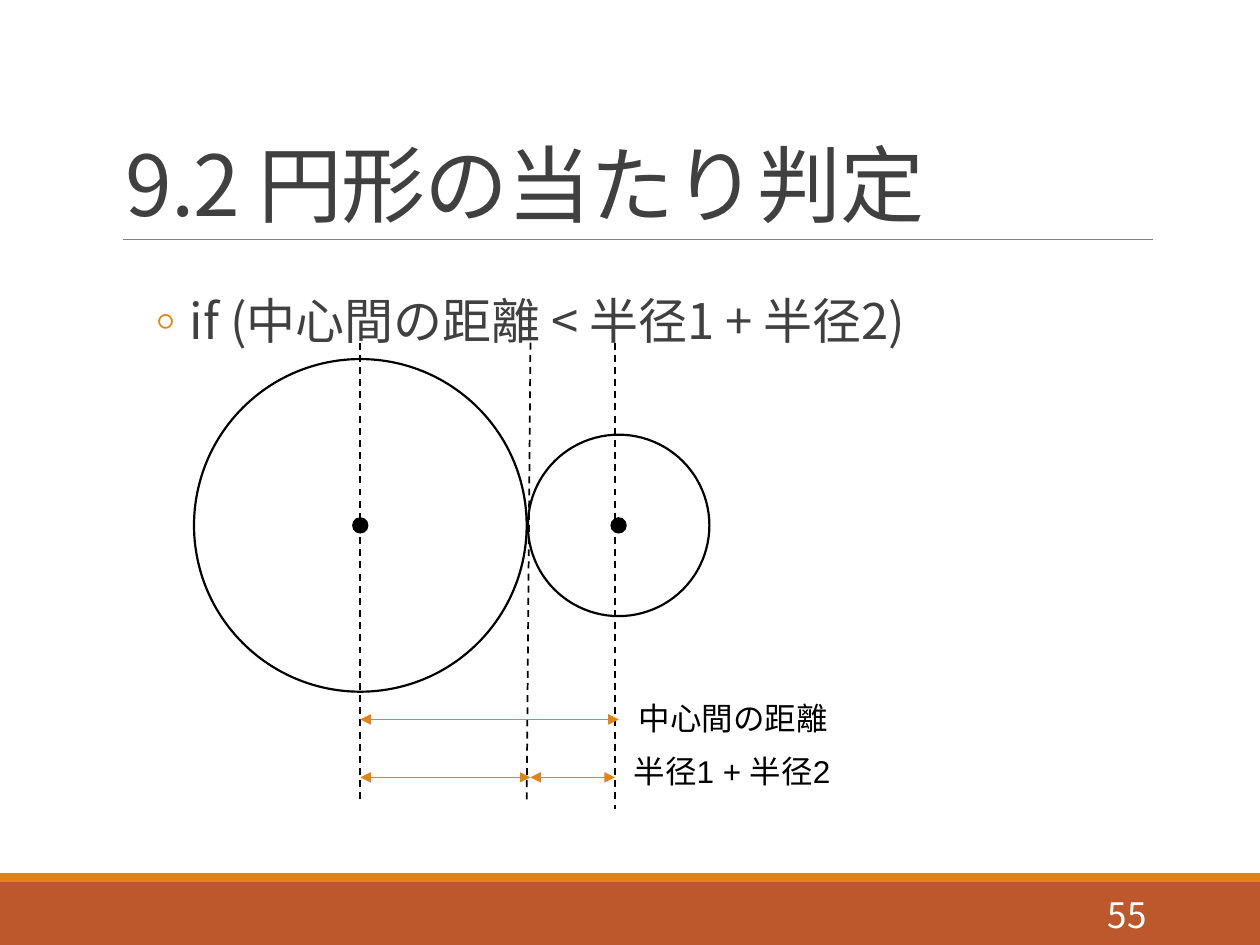
from dataclasses import dataclass

from lxml import etree
from pptx import Presentation
from pptx import util as u
from pptx.dml.color import RGBColor
from pptx.enum import dml, shapes, text
from pptx.oxml import ns

I = u.Inches


@dataclass(frozen=True)
class Theme:
    """Colours, fonts and type sizes of the slide."""
    rust: str = "BD582C"
    gold: str = "E48312"
    rule: str = "808080"
    ink: str = "404040"
    black: str = "000000"
    white: str = "FFFFFF"
    sans: str = "Noto Sans CJK JP"
    plain: str = "Arial"
    title: int = 48
    body: int = 28
    page: int = 20
    label: int = 18


T = Theme()


def add_sub(node, tag, **attrs):
    """Append a drawing element with the given attributes."""
    return etree.SubElement(node, ns.qn(tag), attrs)


def add_shape(slide, kind, x, y, w, h, fill=None, line=None):
    """Add a preset shape with an optional fill and outline."""
    shape = slide.shapes.add_shape(kind, I(x), I(y), I(w), I(h))
    shape.shadow.inherit = False
    if fill:
        shape.fill.solid()
        shape.fill.fore_color.rgb = RGBColor.from_string(fill)
    else:
        shape.fill.background()
    if line:
        shape.line.color.rgb = RGBColor.from_string(line)
        shape.line.width = u.Pt(1.25)
    else:
        shape.line.fill.background()
    return shape


def add_disc(slide, x, y, r, **paint):
    """Add a circle around a centre point."""
    return add_shape(slide, shapes.MSO_SHAPE.OVAL, x - r, y - r, 2 * r, 2 * r, **paint)


def add_line(slide, x1, y1, x2, y2, color, width=1, dash=False, arrows=False):
    """Add a straight line, dashed or with an arrowhead at each end."""
    line = slide.shapes.add_connector(
        shapes.MSO_CONNECTOR.STRAIGHT, I(x1), I(y1), I(x2), I(y2))
    line.line.color.rgb = RGBColor.from_string(color)
    line.line.width = u.Pt(width)
    if dash:
        line.line.dash_style = dml.MSO_LINE.DASH
    if arrows:
        for tag in ("a:headEnd", "a:tailEnd"):
            add_sub(line.line._get_or_add_ln(), tag, type="triangle")
    add_sub(line._element.spPr, "a:effectLst")


def add_text(slide, words, x, y, w, h, size, color, font=T.sans, wrap=True):
    """Add a one-paragraph text box and return its frame."""
    frame = slide.shapes.add_textbox(I(x), I(y), I(w), I(h)).text_frame
    frame.word_wrap = wrap
    frame.text = words
    run = frame.paragraphs[0].runs[0]
    run.font.size = u.Pt(size)
    run.font.name = font
    run.font.color.rgb = RGBColor.from_string(color)
    add_sub(run.font._element, "a:ea", typeface=T.sans)
    return frame


def add_title(slide, x, y, w, h):
    """Place the heading and the rule beneath it."""
    frame = add_text(slide, "9.2 円形の当たり判定", x, y, w, h, T.title, T.ink)
    frame.vertical_anchor = text.MSO_ANCHOR.BOTTOM
    para = frame.paragraphs[0]
    para.line_spacing = 0.85
    para.runs[0].font._element.set("spc", "-50")
    add_line(slide, x + 0.08, y + h, x + w, y + h, T.rule, width=0.5)


def add_body(slide, x, y, w, h):
    """Place the bulleted collision condition."""
    frame = add_text(slide, "if (中心間の距離 < 半径1 + 半径2)", x, y, w, h, T.body, T.ink)
    frame.margin_left = frame.margin_right = 0
    para = frame.paragraphs[0]
    props = para._p.get_or_add_pPr()
    props.set("marL", str(I(0.42)))
    props.set("indent", str(I(-0.2)))
    tint = add_sub(props, "a:buClr")
    add_sub(tint, "a:srgbClr", val=T.gold)
    add_sub(props, "a:buFont", typeface=T.sans)
    add_sub(props, "a:buChar", char="◦")
    para.line_spacing = 1.5
    para.space_after = u.Pt(4)


def add_circles(slide, x, y):
    """Draw two touching circles with guides, spans and labels."""
    big, small, dot = 1.32, 0.72, 0.065
    mid = y + 1.45
    left, touch, right = x + big, x + 2.67, x + 3.34
    small_x = x + 3.37
    for cx, r in ((left, big), (small_x, small)):
        add_disc(slide, cx, mid, r, line=T.black)
    for cx in (left, small_x):
        add_disc(slide, cx, mid, dot, fill=T.black)
    guides = ((left, left, 3.65), (right, right, 3.7), (touch, touch - 0.03, 3.65))
    for top, foot, drop in guides:
        add_line(slide, top, y, foot, y + drop, T.black, dash=True)
    spans = ((left, small_x, 2.99), (left, touch, 3.45), (touch, right, 3.45))
    for start, end, drop in spans:
        add_line(slide, start, y + drop, end, y + drop, T.gold, arrows=True)
    labels = (("中心間の距離", 3.43, 2.78, 1.72, 0.4),
              ("半径1 + 半径2", 3.39, 3.2, 2.2, 0.5))
    for words, dx, dy, w, h in labels:
        add_text(slide, words, x + dx, y + dy, w, h, T.label, T.black, T.plain, wrap=False)


def add_footer(slide, x, y, w, h):
    """Place the footer bands and the page number."""
    trim = 0.07
    rect = shapes.MSO_SHAPE.RECTANGLE
    add_shape(slide, rect, x, y + trim, w, h - trim, fill=T.rust)
    add_shape(slide, rect, x, y, w, trim, fill=T.gold)
    frame = add_text(slide, "55", x + w - 1.88, y + 0.13, 1.08, 0.4, T.page, T.white)
    frame.vertical_anchor = text.MSO_ANCHOR.MIDDLE
    frame.paragraphs[0].alignment = text.PP_ALIGN.RIGHT


def main():
    """Build and save the slide."""
    deck = Presentation()
    deck.slide_width, deck.slide_height = I(10), I(7.5)
    slide = deck.slides.add_slide(deck.slide_layouts[6])
    add_footer(slide, 0, 6.93, 10, 0.57)
    add_title(slide, 0.9, 0.31, 8.25, 1.59)
    add_body(slide, 0.9, 2.02, 8.25, 4.4)
    add_circles(slide, 1.54, 2.72)
    deck.save("out.pptx")


if __name__ == "__main__":
    main()
